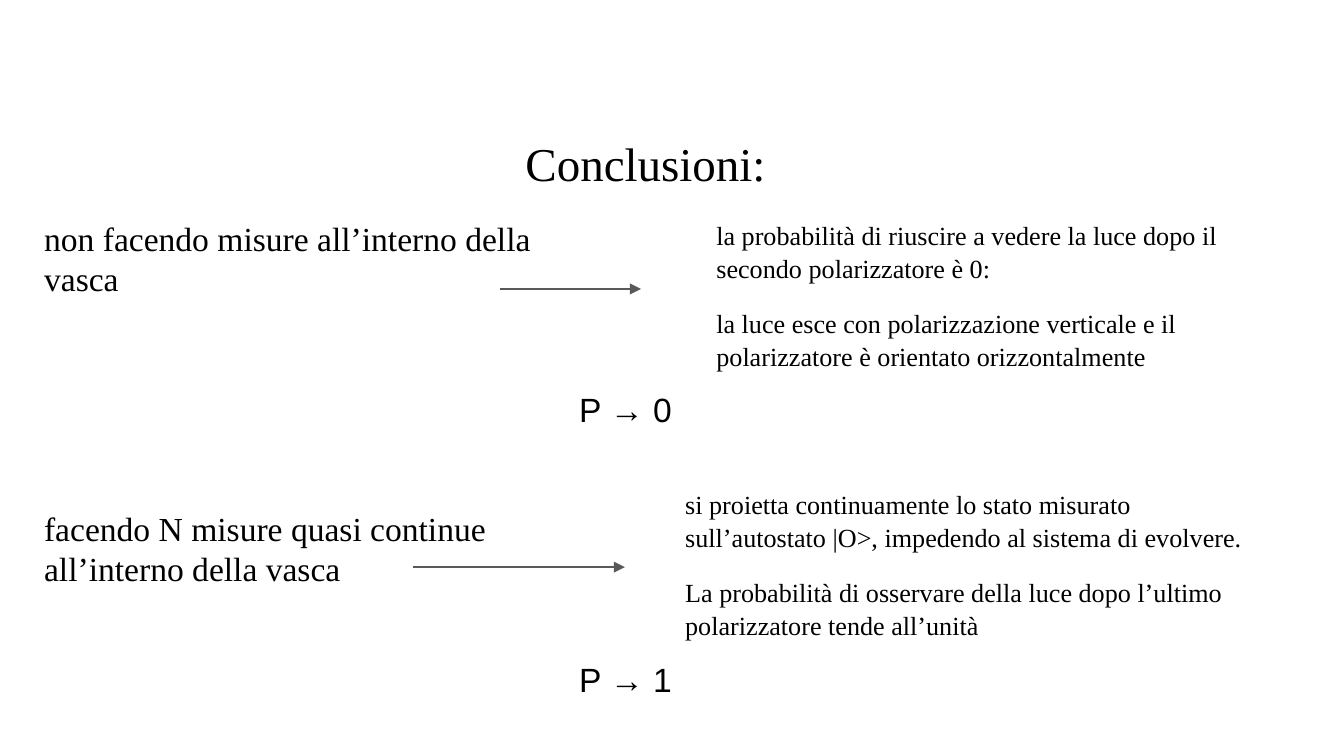
from dataclasses import dataclass

from lxml import etree
from pptx import Presentation
from pptx.dml.color import RGBColor
from pptx.enum.shapes import MSO_CONNECTOR
from pptx.enum.text import MSO_ANCHOR, MSO_AUTO_SIZE, PP_ALIGN
from pptx.oxml.ns import qn
from pptx.util import Inches, Pt

STRAIGHT = MSO_CONNECTOR.STRAIGHT
TOP = MSO_ANCHOR.TOP
LEFT = PP_ALIGN.LEFT
NO_AUTOFIT = MSO_AUTO_SIZE.NONE
SERIF, SANS = "Times New Roman", "Arial"
BLACK, GREY = "000000", "595959"
Box = tuple[float, float, float, float]


@dataclass
class Case:
    """One premise, the arrow to its outcome, and the limit of P."""
    premise: str
    premise_box: Box
    arrow: tuple[float, float, float]  # start x, end x, y
    outcome: list[str]
    outcome_box: Box
    limit: str
    limit_box: Box


CASES = [
    Case("non facendo misure all’interno della vasca", (0.23, 1.52, 4.32, 0.87),
         (3.72, 4.77, 2.15),
         ["la probabilità di riuscire a vedere la luce dopo il secondo polarizzatore è 0:",
          "la luce esce con polarizzazione verticale e il polarizzatore è orientato orizzontalmente"],
         (5.23, 1.52, 4.37, 1.57),
         "P → 0", (4.21, 2.79, 1.75, 0.52)),
    Case("facendo N misure quasi continue all’interno della vasca", (0.23, 3.68, 4.37, 0.87),
         (3.07, 4.65, 4.22),
         ["si proietta continuamente lo stato misurato sull’autostato |O>, impedendo al sistema di evolvere.",
          "La probabilità di osservare della luce dopo l’ultimo polarizzatore tende all’unità"],
         (5, 3.52, 4.37, 1.57),
         "P → 1", (4.21, 4.8, 1.52, 0.57)),
]


def rgb(color: str) -> RGBColor:
    return RGBColor.from_string(color)


def write(sp, box: Box, paragraphs: list[str], *, size: float, font: str = SERIF,
          color: str = BLACK, spacing: float = 1.0, gap: float = 0) -> None:
    """Place a text shape and fill it with plain, left-aligned paragraphs."""
    sp.left, sp.top, sp.width, sp.height = map(Inches, box)
    tf = sp.text_frame
    tf.word_wrap = True
    tf.auto_size = NO_AUTOFIT
    tf.vertical_anchor = TOP
    tf.margin_left = tf.margin_right = tf.margin_top = tf.margin_bottom = Inches(0.1)
    for i, text in enumerate(paragraphs):
        p = tf.add_paragraph() if i else tf.paragraphs[0]
        pPr = p._p.get_or_add_pPr()
        pPr.set("marL", "0")
        pPr.set("indent", "0")
        etree.SubElement(pPr, qn("a:buNone"))
        p.alignment = LEFT
        p.line_spacing = spacing
        p.space_before = p.space_after = Pt(gap if i else 0)
        r = p.add_run()
        r.text = text
        r.font.name = font
        r.font.size = Pt(size)
        r.font.color.rgb = rgb(color)


def add_text_box(slide):
    return slide.shapes.add_textbox(0, 0, 0, 0)


def add_arrow(slide, x1: float, x2: float, y: float) -> None:
    line = slide.shapes.add_connector(STRAIGHT, Inches(x1), Inches(y), Inches(x2), Inches(y))
    line.line.color.rgb = rgb(GREY)
    line.line.width = Pt(0.75)
    etree.SubElement(line.line._get_or_add_ln(), qn("a:tailEnd"), type="triangle")
    etree.SubElement(line._element.spPr, qn("a:effectLst"))


def main() -> None:
    prs = Presentation()
    prs.slide_width = Inches(10)
    prs.slide_height = prs.slide_width * 9 // 16
    slide = prs.slides.add_slide(prs.slide_layouts[1])
    write(slide.shapes.title, (3.81, 0.9, 4.37, 0.63), ["Conclusioni:"], size=25.2)
    for i, case in enumerate(CASES):
        outcome = add_text_box(slide) if i else slide.placeholders[1]
        write(outcome, case.outcome_box, case.outcome, size=14, spacing=1.05, gap=12)
        write(add_text_box(slide), case.premise_box, [case.premise], size=18)
        add_arrow(slide, *case.arrow)
        write(add_text_box(slide), case.limit_box, [case.limit], size=18, font=SANS)
    prs.save("out.pptx")


if __name__ == "__main__":
    main()
